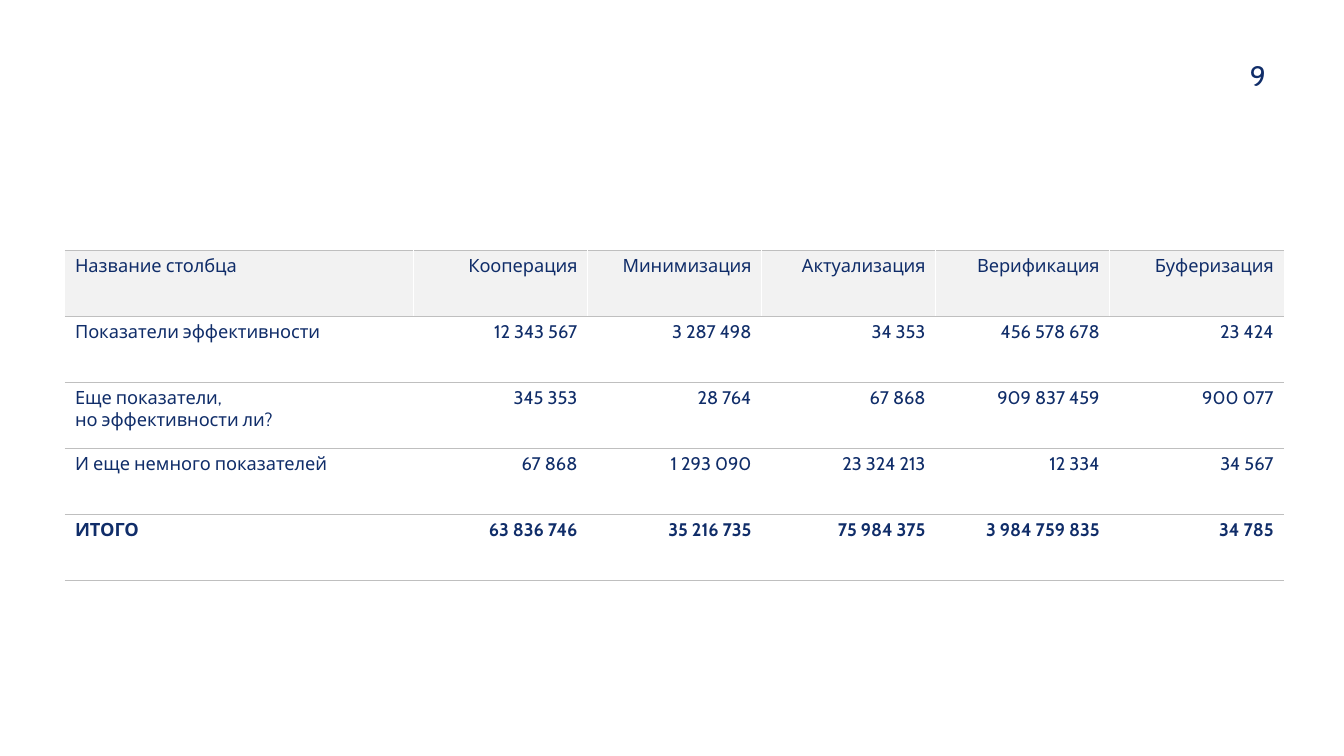
from lxml import etree
from pptx import Presentation
from pptx.dml.color import RGBColor
from pptx.enum import text
from pptx.oxml import ns
from pptx.util import Pt

NAVY, GREY, LIGHT, WHITE = "102D69", "BFBFBF", "F2F2F2", "FFFFFF"
ROW_HEIGHT, LABEL_WIDTH, VALUE_WIDTH = 47.14, 248.8, 124.35
ROWS = [
    ["Название столбца", "Кооперация", "Минимизация", "Актуализация", "Верификация", "Буферизация"],
    ["Показатели эффективности", "12 343 567", "3 287 498", "34 353", "456 578 678", "23 424"],
    ["Еще показатели,\nно эффективности ли?", "345 353", "28 764", "67 868", "909 837 459", "900 077"],
    ["И еще немного показателей", "67 868", "1 293 090", "23 324 213", "12 334", "34 567"],
    ["ИТОГО", "63 836 746", "35 216 735", "75 984 375", "3 984 759 835", "34 785"],
]


def color(value):
    return RGBColor.from_string(value)


def write(paragraph, content, size, bold=False, align=text.PP_ALIGN.LEFT):
    paragraph.text = content
    paragraph.alignment = align
    font = paragraph.font
    font.name, font.size, font.bold = "Cabin", Pt(size), bold
    font.color.rgb = color(NAVY)


def add_border(cell, side, width, line_color):
    """Draw one side (L, R, T or B); without a colour the side stays empty."""
    properties = cell._tc.get_or_add_tcPr()
    line = etree.SubElement(properties, ns.qn(f"a:ln{side}"), w=str(Pt(width)))
    if line_color:
        fill = etree.SubElement(line, ns.qn("a:solidFill"))
        etree.SubElement(fill, ns.qn("a:srgbClr"), val=line_color)
    else:
        etree.SubElement(line, ns.qn("a:noFill"))


def add_page_number(slide, number):
    box = slide.shapes.add_textbox(Pt(892.8), Pt(41.8), Pt(52.6), Pt(24.5))
    frame = box.text_frame
    frame.word_wrap = True
    frame.margin_left = frame.margin_right = frame.margin_top = frame.margin_bottom = 0
    write(frame.paragraphs[0], number, 20)


def add_figures_table(slide, rows):
    last_row, last_column = len(rows) - 1, len(rows[0]) - 1
    width = LABEL_WIDTH + last_column * VALUE_WIDTH
    frame = slide.shapes.add_table(len(rows), len(rows[0]), Pt(46.4), Pt(178.9),
                                   Pt(width), Pt(len(rows) * ROW_HEIGHT))
    table = frame.table
    table.first_row = table.horz_banding = False
    for index, column in enumerate(table.columns):
        column.width = Pt(VALUE_WIDTH if index else LABEL_WIDTH)
    for row_index, values in enumerate(rows):
        table.rows[row_index].height = Pt(ROW_HEIGHT)
        for column_index, value in enumerate(values):
            cell = table.cell(row_index, column_index)
            align = text.PP_ALIGN.RIGHT if column_index else text.PP_ALIGN.LEFT
            write(cell.text_frame.paragraphs[0], value, 13, row_index == last_row, align)
            add_border(cell, "L", 0.25, WHITE if column_index else None)
            add_border(cell, "R", 0.25, WHITE if column_index < last_column else None)
            add_border(cell, "T", 0.75, GREY)
            add_border(cell, "B", 0.75, GREY)
            if row_index == 0:
                cell.fill.solid()
                cell.fill.fore_color.rgb = color(LIGHT)
            else:
                cell.fill.background()


def main():
    presentation = Presentation()
    presentation.slide_width, presentation.slide_height = Pt(960), Pt(540)
    slide = presentation.slides.add_slide(presentation.slide_layouts[6])
    add_page_number(slide, "9")
    add_figures_table(slide, ROWS)
    presentation.save("out.pptx")


if __name__ == "__main__":
    main()
